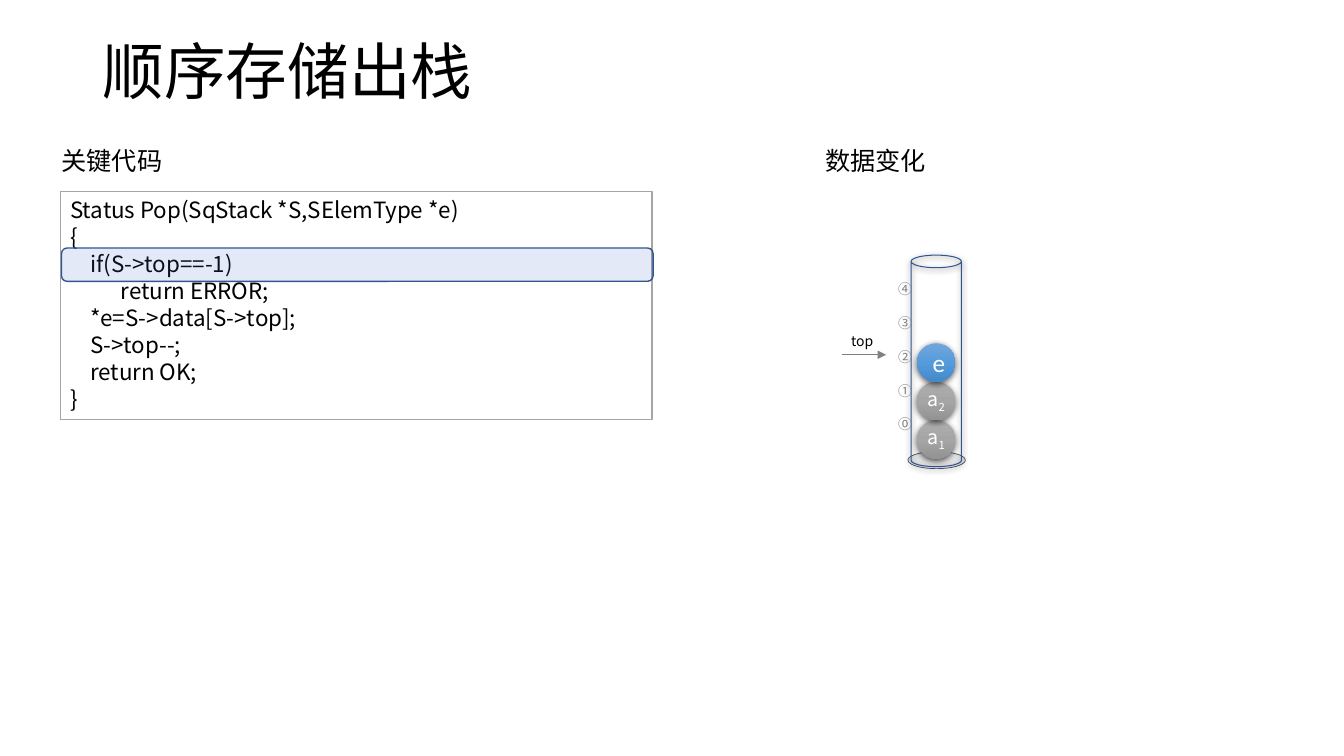
from copy import deepcopy

from lxml import etree
from pptx import Presentation
from pptx.dml.color import RGBColor
from pptx.enum.shapes import MSO_CONNECTOR, MSO_SHAPE
from pptx.enum.text import MSO_ANCHOR, PP_ALIGN
from pptx.oxml.ns import qn
from pptx.util import Cm, Pt

RECT, ROUND = MSO_SHAPE.RECTANGLE, MSO_SHAPE.ROUNDED_RECTANGLE
OVAL, CAN = MSO_SHAPE.OVAL, MSO_SHAPE.CAN
TOP, MIDDLE = MSO_ANCHOR.TOP, MSO_ANCHOR.MIDDLE
LEFT, CENTER = PP_ALIGN.LEFT, PP_ALIGN.CENTER
STRAIGHT = MSO_CONNECTOR.STRAIGHT

BLACK = RGBColor(0x00, 0x00, 0x00)
WHITE = RGBColor(0xFF, 0xFF, 0xFF)
GRAY = RGBColor(0xA5, 0xA5, 0xA5)
DARK_GRAY = RGBColor(0x80, 0x80, 0x80)
BLUE = RGBColor(0x44, 0x72, 0xC4)
NAVY = RGBColor(0x32, 0x54, 0x91)
SLATE = RGBColor(0x44, 0x54, 0x6A)
GRAY_BALL = (RGBColor(0xAF, 0xAF, 0xAF), GRAY, RGBColor(0x93, 0x93, 0x93))
BLUE_BALL = (RGBColor(0x71, 0xA6, 0xDB), RGBColor(0x55, 0x9B, 0xDB),
             RGBColor(0x44, 0x8A, 0xCA))

CJK, LATIN = "Noto Sans CJK SC", "Calibri"
CODE = [
    "Status Pop(SqStack *S,SElemType *e)",
    "{",
    "    if(S->top==-1)",
    "    \treturn ERROR;",
    "    *e=S->data[S->top];",
    "    S->top--;",
    "    return OK;",
    "}",
]


def add_run(p, text, size, color, font=CJK):
    """Add a formatted run to a paragraph and return it."""
    r = p.add_run()
    r.text = text
    for name, value in {"size": Pt(size), "name": font}.items():
        setattr(r.font, name, value)
    r.font.color.rgb = color
    etree.SubElement(r.font._element, qn("a:ea")).set("typeface", font)
    return r


def write(s, lines, size, color=BLACK, font=CJK, align=LEFT, anchor=TOP,
          **frame):
    """Fill a shape with one paragraph per line and return the frame."""
    tf = s.text_frame
    for name, value in {"word_wrap": True, "vertical_anchor": anchor,
                        **frame}.items():
        setattr(tf, name, value)
    for i, line in enumerate(lines):
        p = tf.add_paragraph() if i else tf.paragraphs[0]
        p.alignment = align
        add_run(p, line, size, color, font)
    return tf


def add_text(slide, box, text, size, **style):
    """Add a text box holding one line and return its frame."""
    s = slide.shapes.add_textbox(*map(Cm, box))
    return write(s, [text], size, **style)


def add_figure(slide, kind, box, fill=None, line=None, width=1, alpha=None):
    """Add a flat preset shape with optional fill, opacity and outline."""
    s = slide.shapes.add_shape(kind, *map(Cm, box))
    s.shadow.inherit = False
    if fill is None:
        s.fill.background()
    else:
        s.fill.solid()
        s.fill.fore_color.rgb = fill
    if alpha is not None:
        color = s._element.spPr.find(qn("a:solidFill"))[0]
        etree.SubElement(color, qn("a:alpha")).set("val", str(alpha * 1000))
    if line is None:
        s.line.fill.background()
    else:
        s.line.color.rgb = line
        s.line.width = Pt(width)
    return s


def cast_shadow(s):
    """Give a shape a soft shadow falling downwards."""
    effects = s._element.spPr.find(qn("a:effectLst"))
    shadow = etree.SubElement(effects, qn("a:outerShdw"))
    for name, value in {"blurRad": Pt(4.5), "dist": Pt(1.5), "dir": 5400000,
                        "algn": "ctr", "rotWithShape": 0}.items():
        shadow.set(name, str(value))
    color = etree.SubElement(shadow, qn("a:srgbClr"), val="000000")
    etree.SubElement(color, qn("a:alpha"), val="63000")


def add_ball(slide, box, colors):
    """Add a shaded ball with a vertical three-colour gradient."""
    s = add_figure(slide, OVAL, box)
    s.fill.gradient()
    s.fill.gradient_angle = 270
    stops = s._element.spPr.find(".//" + qn("a:gsLst"))
    stops.insert(1, deepcopy(stops[0]))
    for i, (stop, color) in enumerate(zip(s.fill.gradient_stops, colors)):
        stop.position = i / 2
        stop.color.rgb = color
    cast_shadow(s)
    return s


def draw_title(slide, box):
    """Place the slide title."""
    tf = add_text(slide, box, "顺序存储出栈", 44, anchor=MIDDLE)
    tf.paragraphs[0].line_spacing = 0.9


def draw_code(slide, box):
    """Place the heading, the code frame and the highlighted line."""
    x, y, w, h = box
    add_text(slide, (x - 0.22, y - 1.3, 3.18, 1.02), "关键代码", 18,
             word_wrap=False)
    write(add_figure(slide, RECT, box, WHITE, GRAY), CODE, 16)
    add_figure(slide, ROUND, (x + 0.03, y + 1.42, w, 0.84), BLUE, NAVY,
               alpha=15)


def draw_pointer(slide, box):
    """Place the top label above its arrow."""
    x, y, w, h = box
    c = slide.shapes.add_connector(STRAIGHT, Cm(x + 0.13), Cm(y + h),
                                   Cm(x + w - 0.05), Cm(y + h))
    c.line.color.rgb = DARK_GRAY
    c.line.width = Pt(1)
    etree.SubElement(c.line._get_or_add_ln(), qn("a:tailEnd"),
                     type="triangle")
    etree.SubElement(c._element.spPr, qn("a:effectLst"))
    add_text(slide, box, "top", 10, align=CENTER)


def draw_stack(slide, box):
    """Place the heading, cylinder, indices, pointer and balls."""
    x, y, w, h = box
    add_text(slide, (x - 2.41, y - 2.9, 3.07, 1.02), "数据变化", 18,
             word_wrap=False)
    add_figure(slide, OVAL, (x - 0.08, y + h - 0.38, 1.45, 0.43), GRAY,
               SLATE, 0.5, alpha=30)
    cast_shadow(add_figure(slide, CAN, box, line=NAVY, width=0.75))

    for i, mark in enumerate("④③②①⓪"):
        add_text(slide, (x - 0.45, y + 0.61 + i * 0.85, 0.6, 0.5), mark, 10,
                 color=DARK_GRAY, align=CENTER, anchor=MIDDLE, margin_left=0,
                 margin_right=0, margin_top=0, margin_bottom=0)
    draw_pointer(slide, (x - 1.88, y + 1.83, 1.3, 0.68))

    size = 0.97
    balls = [(x + 0.15, y + h - 1.17 - i * size, size, size)
             for i in range(3)]
    for ball in balls[:2]:
        add_ball(slide, ball, GRAY_BALL)
    for ball, index in zip(balls, "12"):
        tf = add_text(slide, ball, "a", 14, color=WHITE, align=CENTER,
                      margin_left=0, margin_right=0)
        r = add_run(tf.paragraphs[0], index, 14, WHITE)
        r.font._element.set("baseline", "-25000")
    write(add_ball(slide, balls[2], BLUE_BALL), ["e"], 18, color=WHITE,
          font=LATIN, align=CENTER, anchor=MIDDLE)


def main():
    """Build the slide and save it."""
    prs = Presentation()
    prs.slide_width, prs.slide_height = Cm(33.87), Cm(19.05)
    slide = prs.slides.add_slide(prs.slide_layouts[6])
    draw_title(slide, (2.34, 0.03, 29.21, 3.68))
    draw_code(slide, (1.52, 4.83, 14.91, 5.74))
    draw_stack(slide, (22.96, 6.43, 1.27, 5.33))
    prs.save("out.pptx")


if __name__ == "__main__":
    main()
